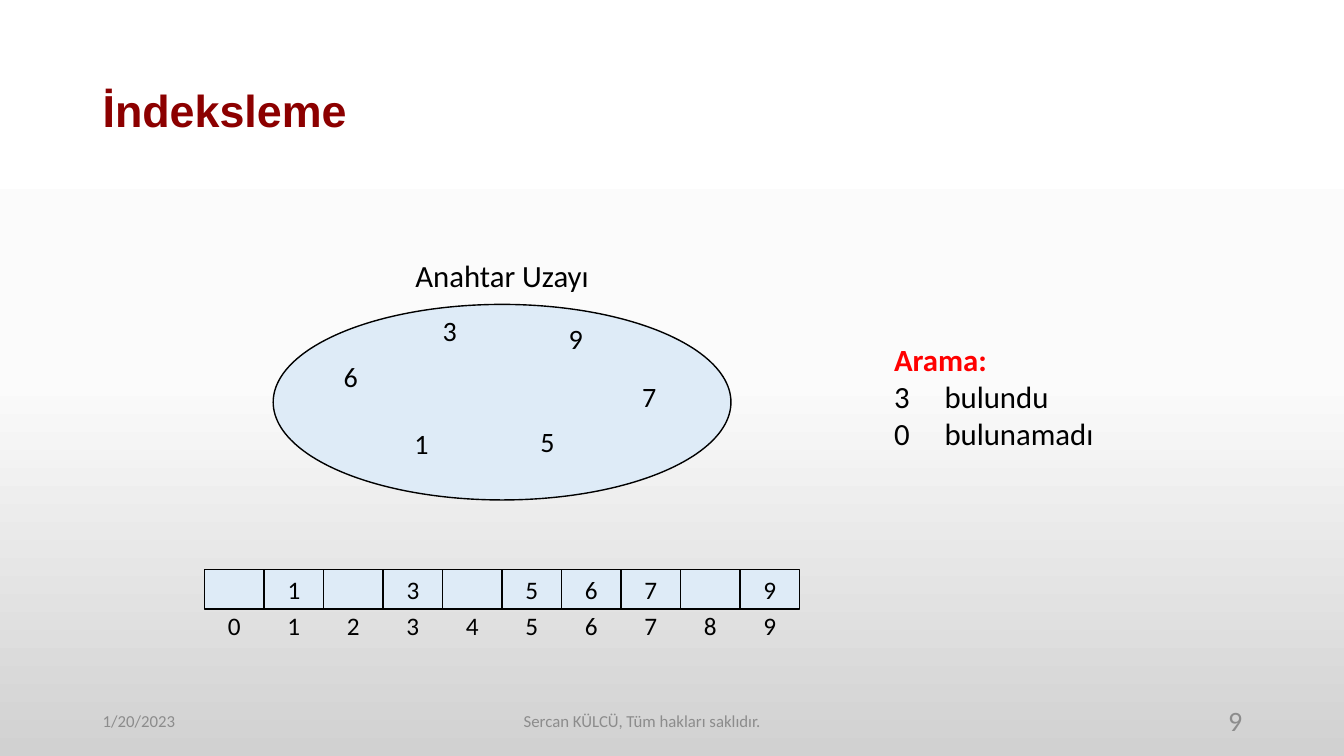
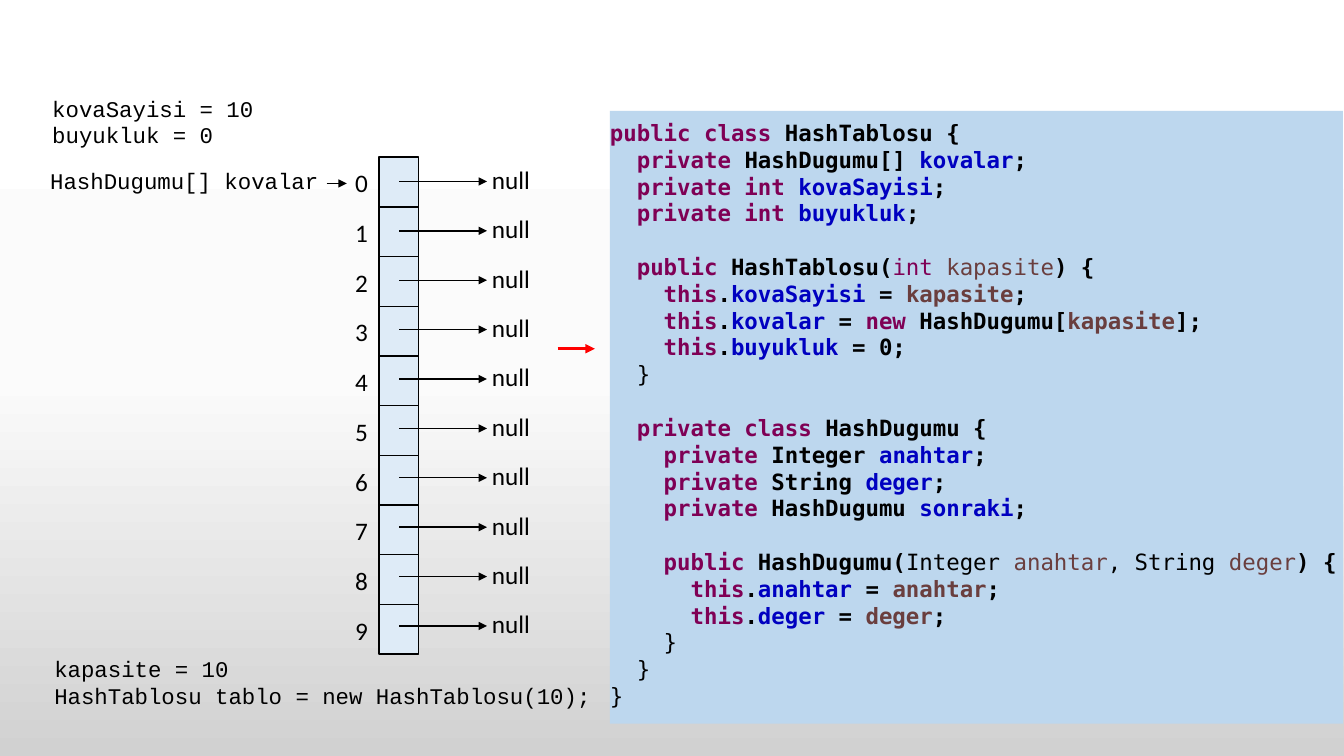
from lxml import etree
from pptx import Presentation
from pptx.dml.color import RGBColor
from pptx.enum import shapes, text
from pptx.oxml.ns import qn
from pptx.util import Inches, Pt

INK, PALE, CODE, RED = "000000", "DEEBF7", "BDD7EE", "FF0000"
TITLE, GREY = "8C0000", "8C8C8C"
BACK = [(0, "FFFFFF"), (50, "FBFBFB"), (100, "D1D1D1")]
BODY, MONO, LIST = "Calibri", "Courier New", "DejaVu Sans Mono"
LEFT, MID, RIGHT = text.PP_ALIGN.LEFT, text.PP_ALIGN.CENTER, text.PP_ALIGN.RIGHT
TOP, HALF, LOW = text.MSO_ANCHOR.TOP, text.MSO_ANCHOR.MIDDLE, text.MSO_ANCHOR.BOTTOM
RECT, OVAL = shapes.MSO_SHAPE.RECTANGLE, shapes.MSO_SHAPE.OVAL

KEYS = {9: "3"}
SPACE = [("1", 4.01, 4.18), ("3", 4.29, 3.06), ("5", 5.26, 4.16),
         ("6", 3.31, 3.52), ("7", 6.27, 3.72), ("9", 5.54, 3.14)]
STORED = [int(key) for key, _, _ in SPACE]

WORD, FIELD, ARG, BOLD = ("7F0055", True), ("0000C0", True), ("6A3E3E", True), (INK, True)
TYPE, PARAM, PLAIN = ("7F0055", False), ("6A3E3E", False), (INK, False)


def member(lead, kind, name):
    """Return the parts of a field declaration."""
    return [(WORD, lead), (BOLD, kind), (FIELD, name), (BOLD, ";")]


def assign(pad, name, *value):
    """Return the parts of an assignment to a field of this."""
    return [(WORD, pad + "this"), (BOLD, "."), (FIELD, name), (BOLD, " = "),
            *value, (BOLD, ";")]


BLOCKS = [
    [
        [(WORD, "public class "), (BOLD, "HashTablosu {")],
        member("  private ", "HashDugumu[] ", "kovalar"),
        member("  private int", " ", "kovaSayisi"),
        member("  private int", " ", "buyukluk"),
    ],
    [
        [(WORD, "  public "), (BOLD, "HashTablosu("), (TYPE, "int "),
         (PARAM, "kapasite"), (BOLD, ") {")],
        assign("    ", "kovaSayisi", (ARG, "kapasite")),
        assign("    ", "kovalar", (WORD, "new "), (BOLD, "HashDugumu["),
               (ARG, "kapasite"), (BOLD, "]")),
        assign("    ", "buyukluk", (BOLD, "0")),
        [(PLAIN, "  }")],
    ],
    [
        [(WORD, "  private class "), (BOLD, "HashDugumu {")],
        member("    private ", "Integer ", "anahtar"),
        member("    private ", "String ", "deger"),
        member("    private ", "HashDugumu ", "sonraki"),
    ],
    [
        [(WORD, "    public "), (BOLD, "HashDugumu("), (PLAIN, "Integer "),
         (PARAM, "anahtar"), (PLAIN, ", String "), (PARAM, "deger"), (BOLD, ") {")],
        assign("      ", "anahtar", (ARG, "anahtar")),
        assign("      ", "deger", (ARG, "deger")),
        [(PLAIN, "    }")],
        [(PLAIN, "  }")],
        [(PLAIN, "}")],
    ],
]


def rgb(code):
    """Turn a hex string into a colour."""
    return RGBColor.from_string(code)


def style(font, size, name=BODY, color=INK, bold=False):
    """Set the look of a font."""
    font.size, font.name, font.bold = Pt(size), name, bold
    font.color.rgb = rgb(color)


def write(frame, lines, size, name=BODY, color=INK, bold=False, align=LEFT):
    """Fill a text frame with one paragraph per line."""
    for i, line in enumerate(lines):
        para = frame.paragraphs[0] if i == 0 else frame.add_paragraph()
        para.text, para.alignment = line, align
        style(para.font, size, name, color, bold)


def label(slide, at, lines, size, wrap=False, anchor=TOP, **look):
    """Add a text box and return its frame."""
    frame = slide.shapes.add_textbox(*map(Inches, at)).text_frame
    frame.word_wrap, frame.vertical_anchor = wrap, anchor
    write(frame, lines, size, **look)
    return frame


def block(slide, kind, at, fill, line=INK):
    """Add a filled shape, outlined when a line colour is given."""
    shape = slide.shapes.add_shape(kind, *map(Inches, at))
    shape.shadow.inherit = False
    shape.fill.solid()
    shape.fill.fore_color.rgb = rgb(fill)
    if line:
        shape.line.color.rgb = rgb(line)
        shape.line.width = Pt(1)
    else:
        shape.line.fill.background()
    return shape


def arrow(slide, left, right, y, color=INK, width=1):
    """Add a level arrow pointing right."""
    line = slide.shapes.add_connector(
        shapes.MSO_CONNECTOR.STRAIGHT, *map(Inches, (left, y, right, y)))
    line.line.color.rgb = rgb(color)
    line.line.width = Pt(width)
    etree.SubElement(line.line._get_or_add_ln(), qn("a:tailEnd"), type="triangle")
    etree.SubElement(line._element.spPr, qn("a:effectLst"))


def paint(master):
    """Give the master its vertical gradient."""
    fill = master.background.fill
    fill.gradient()
    fill.gradient_angle = 270
    stops = next(master.element.iter(qn("a:gsLst")))
    for stop in list(stops):
        stops.remove(stop)
    for place, color in BACK:
        stop = etree.SubElement(stops, qn("a:gs"), pos=str(place * 1000))
        etree.SubElement(stop, qn("a:srgbClr"), val=color)


def title(slide, words):
    """Add the slide title."""
    frame = label(slide, (0.92, 0.4, 11.5, 1.45), [words], 32, wrap=True,
                  anchor=HALF, name="Arial", color=TITLE, bold=True)
    frame.paragraphs[0].line_spacing = 0.9


def footer(slide, number):
    """Add date, rights line and slide number."""
    for left, width, words, size, align in [
            (0.92, 3, "1/20/2023", 12, LEFT),
            (2.58, 7.58, "Sercan KÜLCÜ, Tüm hakları saklıdır.", 12, MID),
            (9.42, 3, number, 20, RIGHT)]:
        label(slide, (left, 6.95, width, 0.4), [words], size, wrap=True,
              anchor=HALF, color=GREY, align=align)


def search(slide):
    """Add the search results with a tab stop."""
    frame = label(slide, (8.77, 3.33, 2.7, 1.21), ["Arama:"], 22,
                  color=RED, bold=True)
    for line in ("3\tbulundu", "0\tbulunamadı"):
        para = frame.add_paragraph()
        para.text = line
        tabs = etree.SubElement(para._p.get_or_add_pPr(), qn("a:tabLst"))
        etree.SubElement(tabs, qn("a:tab"), pos=str(Inches(0.5)), algn="l")
        style(para.font, 22)


def listing(slide):
    """Add the coloured class listing."""
    frame = block(slide, RECT, (6.05, 1.1, 7.27, 6.08), CODE, None).text_frame
    frame.word_wrap, frame.vertical_anchor = True, TOP
    frame.margin_left = frame.margin_right = 0
    frame.margin_top = frame.margin_bottom = Inches(0.08)
    para = None
    for part in BLOCKS:
        for row, line in enumerate(part):
            gap = para is not None and row == 0
            para = frame.add_paragraph() if para is not None else frame.paragraphs[0]
            para.alignment = LEFT
            if gap:
                para.space_before = Pt(19)
            para.font.size, para.font.name = Pt(16), LIST
            for (color, bold), words in line:
                run = para.add_run()
                run.text, run.font.bold = words, bold
                run.font.color.rgb = rgb(color)


def index(slide):
    """Build the slide on direct indexing."""
    title(slide, "İndeksleme")
    footer(slide, "9")
    block(slide, OVAL, (2.71, 3.02, 4.54, 1.94), PALE)
    label(slide, (4.01, 2.5, 1.94, 0.47), ["Anahtar Uzayı"], 22, align=MID)
    for key, left, top in SPACE:
        label(slide, (left, top, 0.34, 0.44), [key], 20, align=MID)
    for i in range(10):
        left = 2.03 + 0.59 * i
        cell = block(slide, RECT, (left, 5.65, 0.59, 0.39), PALE)
        if i in STORED:
            cell.text_frame.vertical_anchor = HALF
            write(cell.text_frame, [str(i)], 18, align=MID)
        label(slide, (left + 0.13, 6.01, 0.33, 0.4), [str(i)], 18, align=MID)
    search(slide)


def table(slide):
    """Build the slide on the empty hash table."""
    for i in range(10):
        y = 1.8 + 0.49 * i
        block(slide, RECT, (3.76, 1.56 + 0.493 * i, 0.39, 0.493), PALE)
        label(slide, (3.42, 1.61 + 0.494 * i, 0.33, 0.4), [str(i)], 18, align=MID)
        arrow(slide, 3.96, 4.83, y)
        label(slide, (4.78, y - 0.22, 0.58, 0.4), ["null"], 18)
    label(slide, (0.4, 1.61, 2.9, 0.37), ["HashDugumu[] kovalar"], 16, name=MONO)
    label(slide, (0.42, 0.89, 2.23, 0.64), ["kovaSayisi = 10", "buyukluk = 0"],
          16, name=MONO)
    arrow(slide, 3.24, 3.44, 1.82)
    arrow(slide, 5.53, 5.9, 3.46, RED, 2.25)
    listing(slide)
    label(slide, (0.44, 6.44, 5.6, 0.64),
          ["kapasite = 10", "HashTablosu tablo = new HashTablosu(10);"],
          16, anchor=LOW, name=MONO)


def main():
    """Build and save the slides."""
    deck = Presentation()
    deck.slide_width, deck.slide_height = Inches(13.33), Inches(7.5)
    paint(deck.slide_master)
    for build in (index, table):
        build(deck.slides.add_slide(deck.slide_layouts[6]))
    deck.save("out.pptx")


if __name__ == "__main__":
    main()
